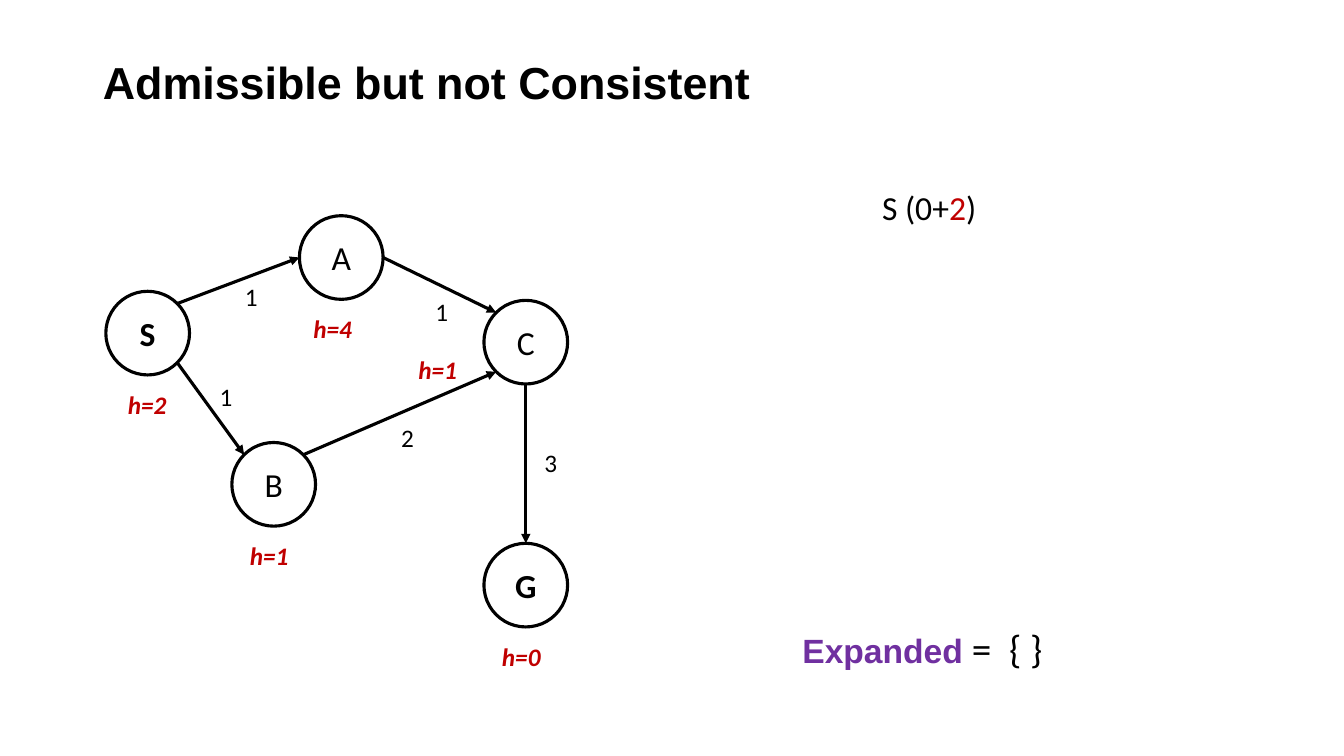
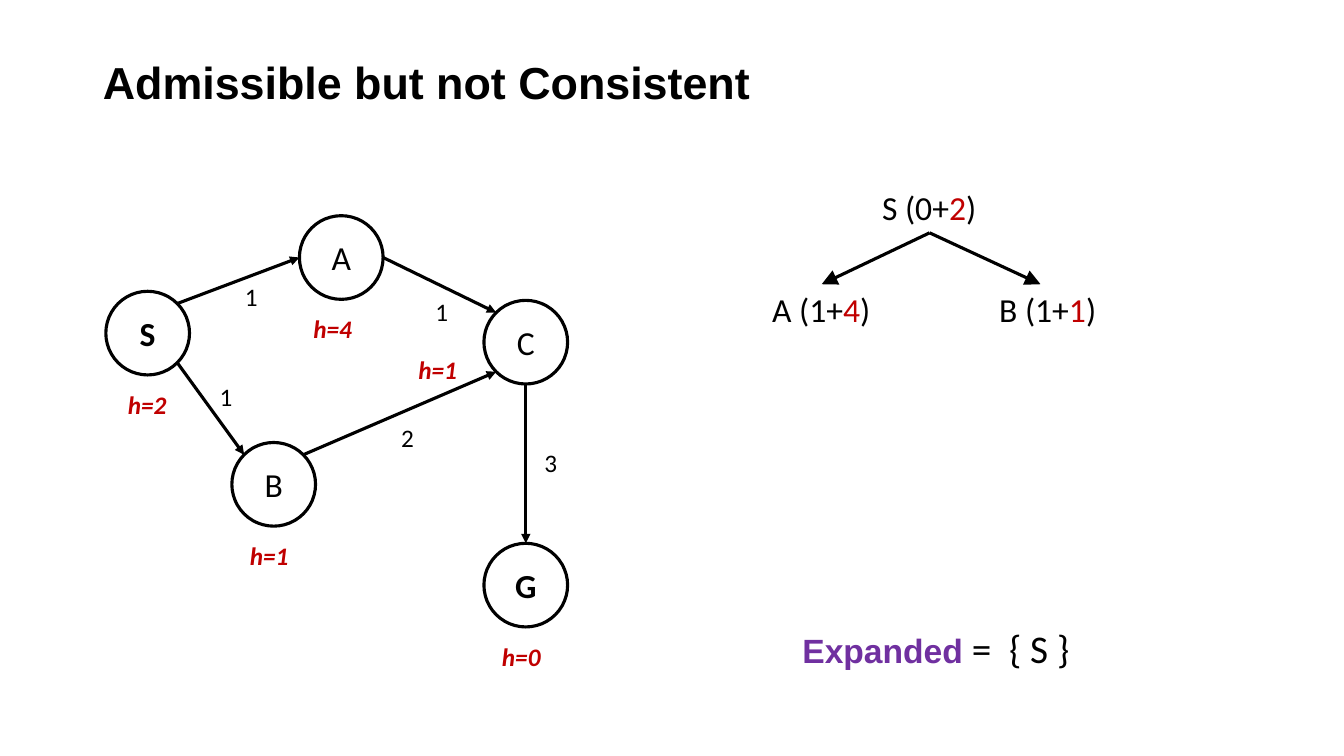
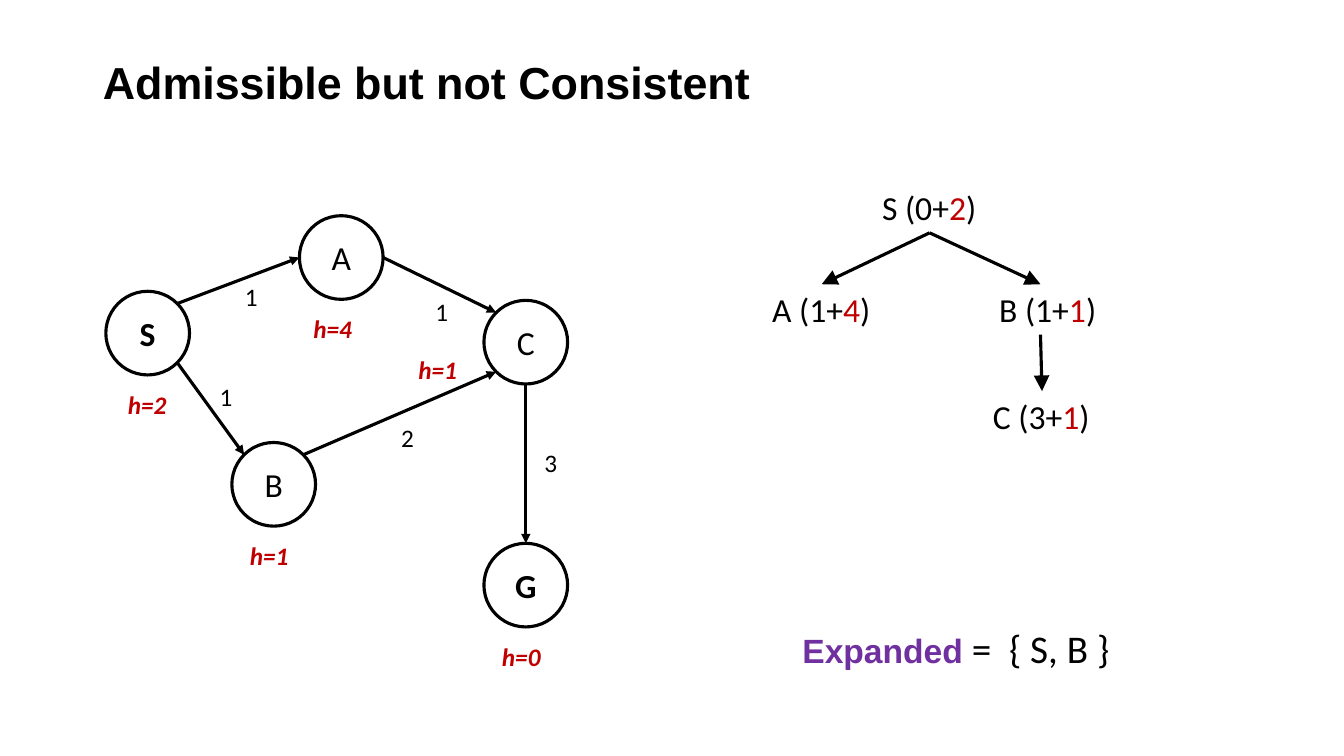
from dataclasses import dataclass
from math import cos, radians, sin

from lxml import etree
from pptx import Presentation
from pptx.dml.color import RGBColor
from pptx.enum import shapes, text
from pptx.oxml.ns import qn
from pptx.util import Pt

PX = 9144  # EMU in one px, 100 px to the inch


@dataclass(frozen=True)
class Theme:
    ink: str = "000000"
    paper: str = "FFFFFF"
    red: str = "C00000"
    purple: str = "7030A0"
    head: str = "Arial"
    body: str = "Calibri"
    title: int = 32
    set: int = 28
    node: int = 24
    label: int = 18
    line: float = 2.25


THEME = Theme()


@dataclass(frozen=True)
class Run:
    text: str
    size: int
    color: str = THEME.ink
    font: str = THEME.body
    bold: bool = False
    italic: bool = False


@dataclass(frozen=True)
class Node:
    """A state, with the corner of its circle and of its h label."""
    name: str
    left: int
    top: int
    h: int
    h_left: int
    h_top: int
    bold: bool = False


@dataclass(frozen=True)
class Edge:
    """A step between circle sites, counted from the top, anticlockwise."""
    start: str
    out: int
    end: str
    into: int
    cost: int
    left: int
    top: int


@dataclass(frozen=True)
class Leaf:
    """A search tree entry, shown as name (g+h)."""
    name: str
    g: int
    h: int
    left: int
    top: int
    width: int
    parent: str = ""
    inset: int = 10


@dataclass(frozen=True)
class Step:
    leaves: int
    closed: str


TITLE = "Admissible but not Consistent"
SIZE = 83
NODES = [
    Node("S", 105, 289, 2, 117, 381, True),
    Node("A", 297, 214, 4, 301, 306),
    Node("B", 230, 439, 1, 238, 531),
    Node("C", 480, 298, 1, 405, 347),
    Node("G", 480, 539, 0, 488, 631, True),
]
EDGES = [
    Edge("S", 7, "A", 2, 1, 233, 274),
    Edge("S", 5, "B", 1, 1, 208, 373),
    Edge("B", 7, "C", 3, 2, 388, 414),
    Edge("A", 6, "C", 1, 1, 422, 289),
    Edge("C", 4, "G", 0, 3, 530, 439),
]
LEAVES = [
    Leaf("S", 0, 2, 865, 181, 114),
    Leaf("A", 1, 4, 756, 282, 118, "S"),
    Leaf("B", 1, 1, 966, 282, 132, "S", 25),
    Leaf("C", 3, 1, 975, 388, 117, "B"),
]
STEPS = [Step(1, "{ }"), Step(3, "{ S }"), Step(4, "{ S, B }")]


def rgb(color: str) -> RGBColor:
    return RGBColor.from_string(color)


def write(para, runs: list[Run]) -> None:
    for item in runs:
        run = para.add_run()
        run.text = item.text
        font = run.font
        font.name, font.size = item.font, Pt(item.size)
        font.bold, font.italic = item.bold, item.italic
        font.color.rgb = rgb(item.color)


def add_text(canvas, left: int, top: int, width: int, height: int,
             runs: list[Run], wrap: bool = False, inset: int = 10):
    box = canvas.add_textbox(left * PX, top * PX, width * PX, height * PX)
    frame = box.text_frame
    frame.word_wrap = wrap
    frame.auto_size = text.MSO_AUTO_SIZE.SHAPE_TO_FIT_TEXT
    frame.margin_left = inset * PX
    write(frame.paragraphs[0], runs)
    return box


def add_arrow(canvas, start: tuple[int, int], end: tuple[int, int], head: str):
    arrow = canvas.add_connector(shapes.MSO_CONNECTOR.STRAIGHT, *start, *end)
    arrow.line.color.rgb = rgb(THEME.ink)
    arrow.line.width = Pt(THEME.line)
    etree.SubElement(arrow.line._get_or_add_ln(), qn("a:tailEnd"),
                     type="triangle", w=head, len=head)
    etree.SubElement(arrow.element.spPr, qn("a:effectLst"))
    return arrow


def add_node(canvas, node: Node):
    disc = canvas.add_shape(shapes.MSO_SHAPE.OVAL, node.left * PX,
                            node.top * PX, SIZE * PX, SIZE * PX)
    disc.shadow.inherit = False
    disc.fill.solid()
    disc.fill.fore_color.rgb = rgb(THEME.paper)
    disc.line.color.rgb = rgb(THEME.ink)
    disc.line.width = Pt(THEME.line)
    frame = disc.text_frame
    frame.vertical_anchor = text.MSO_ANCHOR.MIDDLE
    para = frame.paragraphs[0]
    para.alignment = text.PP_ALIGN.CENTER
    write(para, [Run(node.name, THEME.node, bold=node.bold)])
    return disc


def find_site(disc, index: int) -> tuple[int, int]:
    """Give the point of a circle's connection site."""
    turn, half = radians(90 + 45 * index), disc.width / 2
    return (round(disc.left + half * (1 + cos(turn))),
            round(disc.top + half * (1 - sin(turn))))


def add_edge(canvas, edge: Edge, discs: dict) -> None:
    start, end = discs[edge.start], discs[edge.end]
    arrow = add_arrow(canvas, find_site(start, edge.out),
                      find_site(end, edge.into), "med")
    # begin_connect knows only the four sites of a rectangle
    joins = arrow.element.nvCxnSpPr.cNvCxnSpPr
    for tag, disc, index in (("a:stCxn", start, edge.out),
                             ("a:endCxn", end, edge.into)):
        etree.SubElement(joins, qn(tag), id=str(disc.shape_id), idx=str(index))
    add_text(canvas, edge.left, edge.top, 33, 40,
             [Run(str(edge.cost), THEME.label)])


def add_graph(slide) -> None:
    canvas = slide.shapes.add_group_shape().shapes
    discs = {node.name: add_node(canvas, node) for node in NODES}
    for edge in EDGES:
        add_edge(canvas, edge, discs)
    for node in NODES:
        add_text(canvas, node.h_left, node.h_top, 59, 40,
                 [Run(f"h={node.h}", THEME.label, THEME.red,
                      bold=True, italic=True)])


def add_tree(slide, leaves: list[Leaf]) -> None:
    boxes = {}
    for leaf in leaves:
        box = add_text(slide.shapes, leaf.left, leaf.top, leaf.width, 50,
                       [Run(f"{leaf.name} ({leaf.g}+", THEME.node),
                        Run(str(leaf.h), THEME.node, THEME.red),
                        Run(")", THEME.node)], inset=leaf.inset)
        boxes[leaf.name] = box
        if leaf.parent:
            arrow = add_arrow(slide.shapes, (0, 0), (0, 0), "lg")
            arrow.begin_connect(boxes[leaf.parent], 2)
            arrow.end_connect(box, 0)


def set_title(slide) -> None:
    title = slide.shapes.title
    title.left, title.top = 92 * PX, 40 * PX
    title.width, title.height = 1150 * PX, 89 * PX
    frame = title.text_frame
    frame.auto_size = text.MSO_AUTO_SIZE.NONE
    frame.vertical_anchor = text.MSO_ANCHOR.MIDDLE
    para = frame.paragraphs[0]
    para.alignment = text.PP_ALIGN.LEFT
    para.line_spacing = 0.9
    write(para, [Run(TITLE, THEME.title, font=THEME.head, bold=True)])


def add_slide(deck, step: Step) -> None:
    slide = deck.slides.add_slide(deck.slide_layouts[5])
    set_title(slide)
    add_tree(slide, LEAVES[:step.leaves])
    add_graph(slide)
    add_text(slide.shapes, 786, 614, 334, 57,
             [Run("Expanded", THEME.node, THEME.purple, THEME.head, True),
              Run(f" =  {step.closed}", THEME.set)], wrap=True)


def main() -> None:
    deck = Presentation()
    deck.slide_width, deck.slide_height = 1333 * PX, 750 * PX
    for step in STEPS:
        add_slide(deck, step)
    deck.save("out.pptx")


if __name__ == "__main__":
    main()
